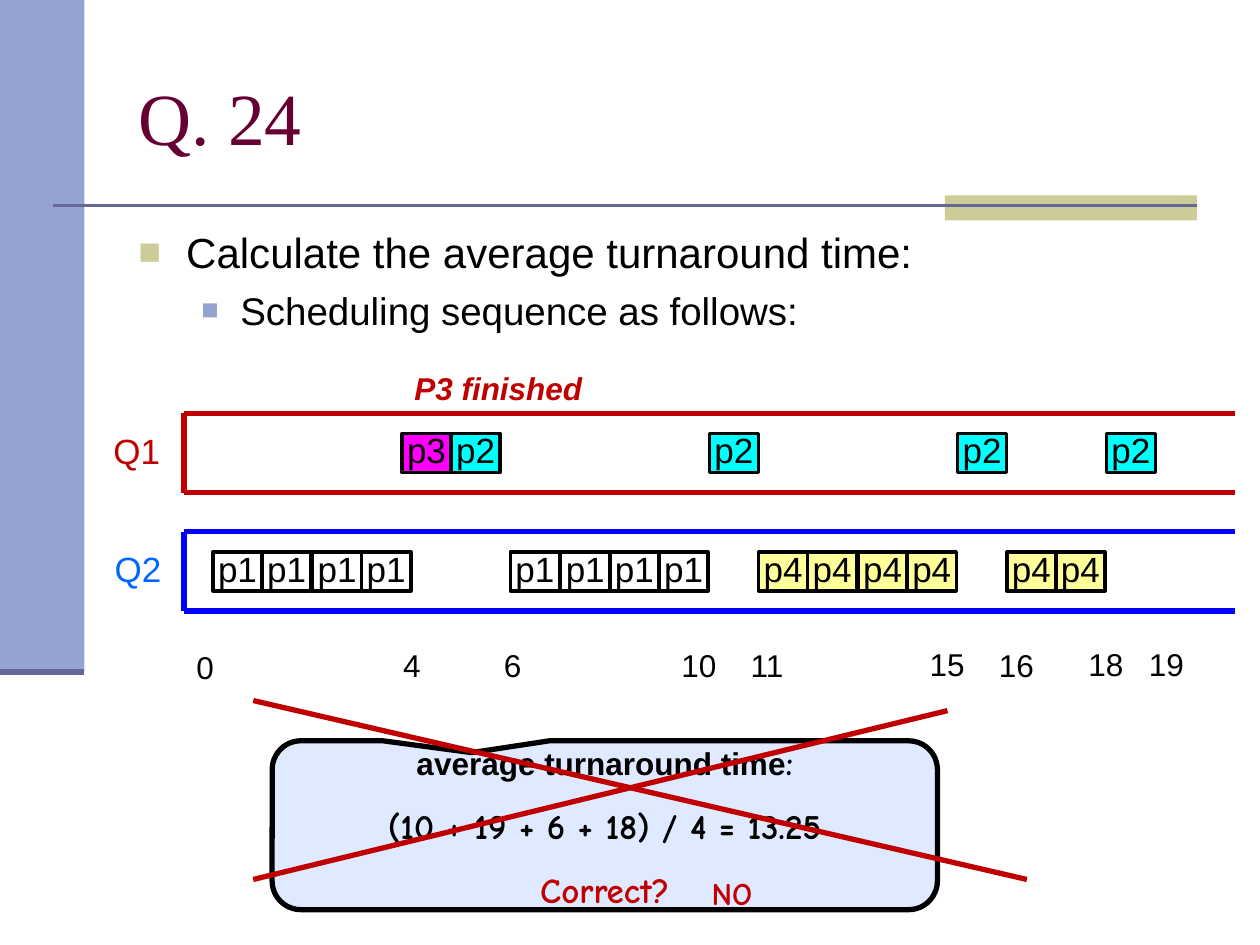
from dataclasses import dataclass
from lxml import etree
from pptx import Presentation
from pptx.dml.color import RGBColor
from pptx.enum.shapes import MSO_CONNECTOR, MSO_SHAPE
from pptx.enum.text import MSO_ANCHOR, PP_ALIGN
from pptx.oxml.ns import qn
from pptx.slide import Slide
from pptx.util import Inches, Pt

RECT = MSO_SHAPE.RECTANGLE
CALLOUT = MSO_SHAPE.ROUNDED_RECTANGULAR_CALLOUT
LINE = MSO_CONNECTOR.STRAIGHT
TOP, MIDDLE = MSO_ANCHOR.TOP, MSO_ANCHOR.MIDDLE
LEFT, CENTER, RIGHT = PP_ALIGN.LEFT, PP_ALIGN.CENTER, PP_ALIGN.RIGHT

BLACK = RGBColor(0x00, 0x00, 0x00)
WHITE = RGBColor(0xFF, 0xFF, 0xFF)
RED = RGBColor(0xC0, 0x00, 0x00)
BLUE = RGBColor(0x00, 0x00, 0xFF)
AZURE = RGBColor(0x00, 0x66, 0xFF)
WINE = RGBColor(0x66, 0x00, 0x33)
STEEL = RGBColor(0x95, 0xA3, 0xD1)
SAND = RGBColor(0xCC, 0xCC, 0x99)
VIOLET = RGBColor(0x66, 0x66, 0x99)
PALE = RGBColor(0xDF, 0xE9, 0xFF)
YELLOW = RGBColor(0xFF, 0xFF, 0x99)
CYAN = RGBColor(0x00, 0xFF, 0xFF)
PINK = RGBColor(0xFF, 0x00, 0xFF)

START, STEP = 1.69, 0.39375
HUES = {"p1": WHITE, "p2": CYAN, "p3": PINK, "p4": YELLOW}


@dataclass
class Deck:
    """Draws styled elements on the current slide."""
    slide: Slide
    sans: str = "Arial"
    serif: str = "Times New Roman"
    hand: str = "Comic Neue"

    def font(self, font, size, color=BLACK, face=None, bold=False, italic=False):
        font.name, font.size = face or self.sans, Pt(size)
        font.bold, font.italic = bold, italic
        font.color.rgb = color

    def box(self, at, fill, kind=RECT, edge=None):
        shape = self.slide.shapes.add_shape(kind, *map(Inches, at))
        shape.shadow.inherit = False
        shape.fill.solid()
        shape.fill.fore_color.rgb = fill
        if edge:
            shape.line.color.rgb, shape.line.width = BLACK, Pt(edge)
        else:
            shape.line.fill.background()
        return shape

    def label(self, shape, text, size, align=LEFT, anchor=TOP, **style):
        frame = shape.text_frame
        frame.word_wrap, frame.vertical_anchor = True, anchor
        para = frame.paragraphs[0]
        para.text, para.alignment = text, align
        self.font(para.font, size, **style)
        return frame

    def text(self, at, text, size, **style):
        shape = self.slide.shapes.add_textbox(*map(Inches, at))
        return self.label(shape, text, size, **style)

    def line(self, start, end, color, width=3):
        ends = map(Inches, (*start, *end))
        link = self.slide.shapes.add_connector(LINE, *ends)
        link.line.color.rgb, link.line.width = color, Pt(width)
        etree.SubElement(link._element.spPr, qn("a:effectLst"))

    def queue(self, top, color):
        left, right, base = 1.46, 9.8, top + 0.63
        self.line((left, top), (right, top), color)
        self.line((left, top), (left, base), color)
        self.line((left, base), (right, base), color)

    def job(self, left, top, name):
        shape = self.box((left, top, 0.39, 0.31), HUES[name], edge=2)
        frame = self.label(shape, name, 20, align=CENTER, anchor=MIDDLE)
        frame.word_wrap, frame.margin_top = False, 0

    def bullet(self, para, text, size, level, left, hang, color, scale):
        para.text, para.level = text, level
        props = para._p.get_or_add_pPr()
        for old in list(props.findall(qn("a:defRPr"))):
            props.remove(old)
        props.set("marL", str(Inches(left)))
        props.set("indent", str(-Inches(hang)))
        tint = etree.SubElement(props, qn("a:buClr"))
        etree.SubElement(tint, qn("a:srgbClr"), val=str(color))
        etree.SubElement(props, qn("a:buSzPct"), val=str(scale * 1000))
        etree.SubElement(props, qn("a:buFont"), typeface=self.sans)
        etree.SubElement(props, qn("a:buChar"), char="■")
        self.font(para.font, size)

    def answer(self):
        shape = self.box((2.16, 5.88, 5.28, 1.34), PALE, CALLOUT, 3)
        for i, value in enumerate((-0.2, -0.43, 0.17)):
            shape.adjustments[i] = value
        frame = shape.text_frame
        frame.word_wrap, frame.vertical_anchor = True, MIDDLE
        head = frame.paragraphs[0]
        head.alignment = CENTER
        for text, size, face in (("average turnaround time", 18, self.sans),
                                 (":", 20, self.hand)):
            run = head.add_run()
            run.text = text
            self.font(run.font, size, face=face, bold=True)
        for text, color in (("(10 + 19 + 6 + 18) / 4 = 13.25", BLACK),
                            ("Correct?", RED)):
            para = frame.add_paragraph()
            para.text, para.alignment = text, CENTER
            para.space_before = Pt(12.5)
            self.font(para.font, 20, color, self.hand, True)


def main():
    prs = Presentation()
    prs.slide_width, prs.slide_height = Inches(10), Inches(7.5)
    deck = Deck(prs.slides.add_slide(prs.slide_layouts[6]))

    deck.box((0, 0, 0.67, 5.33), STEEL)
    deck.box((7.5, 1.55, 2, 0.2), SAND)
    deck.line((0.42, 1.63), (9.5, 1.63), VIOLET, 1.5)
    deck.line((0, 5.33), (0.67, 5.33), VIOLET, 3.5)
    deck.text((1, 0.3, 8.5, 1.25), "Q. 24", 42, anchor=MIDDLE,
              color=WINE, face=deck.serif)

    body = deck.text((1, 1.75, 8.5, 4.95), "", 24)
    deck.bullet(body.paragraphs[0], "Calculate the average turnaround time:",
                24, 0, 0.38, 0.38, SAND, 90)
    para = body.add_paragraph()
    para.space_before = Pt(5.5)
    deck.bullet(para, "Scheduling sequence as follows:",
                22, 1, 0.81, 0.31, STEEL, 75)

    for name, time, count in (("p1", 0, 4), ("p1", 6, 4),
                              ("p4", 11, 4), ("p4", 16, 2)):
        for i in range(time, time + count):
            deck.job(round(START + i * STEP, 2), 4.38, name)
    deck.job(3.58, 3.44, "p2")
    deck.job(3.19, 3.44, "p3")
    for time in (10, 15, 18):
        deck.job(round(START + time * STEP, 2), 3.44, "p2")
    deck.text((3.19, 2.88, 1.66, 0.4), "P3 finished", 18,
              color=RED, bold=True, italic=True)

    for time, left, top in ((0, 1.46, 5.09), (4, 3.1, 5.08), (6, 3.9, 5.08),
                            (10, 5.31, 5.08), (11, 5.86, 5.08),
                            (15, 7.28, 5.07), (16, 7.83, 5.08),
                            (18, 8.54, 5.07), (19, 9.02, 5.07)):
        width = 0.32 if time < 10 else 0.55
        deck.text((left, top, width, 0.4), str(time), 18)

    deck.queue(4.22, BLUE)
    deck.queue(3.28, RED)
    for name, left, top, color in (("Q1", 0.74, 3.36, RED),
                                   ("Q2", 0.75, 4.3, AZURE)):
        tag = deck.box((left, top, 0.63, 0.44), WHITE)
        deck.label(tag, name, 20, align=RIGHT, color=color)

    deck.answer()
    deck.line((2.01, 5.56), (8.15, 6.98), RED)
    deck.line((2.01, 6.98), (7.52, 5.64), RED)
    deck.text((5.55, 6.89, 0.63, 0.4), "NO", 18,
              color=RED, face=deck.hand, bold=True)
    prs.save("out.pptx")


if __name__ == "__main__":
    main()
